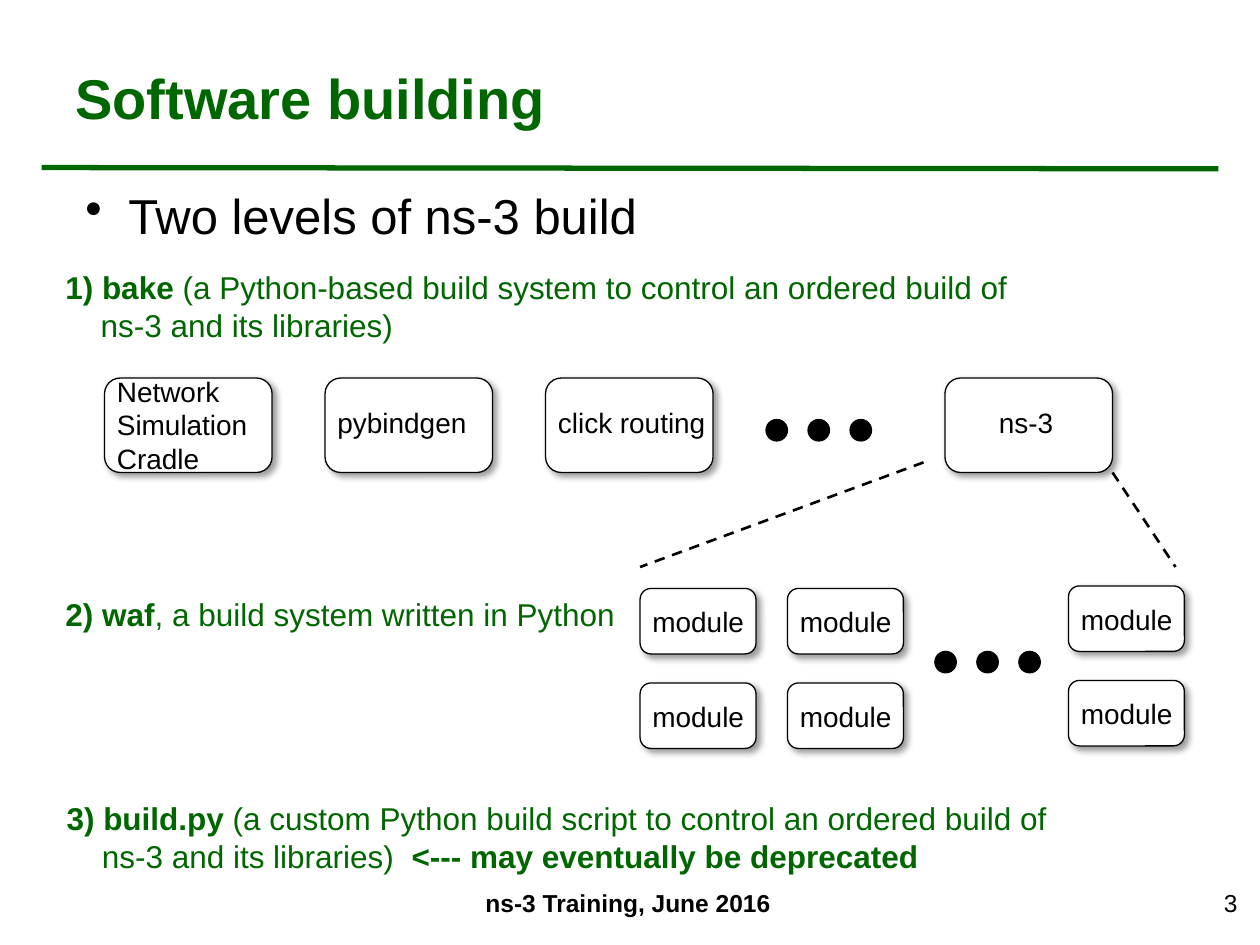
"""Build the slide on the two levels of the ns-3 build."""
from lxml.etree import SubElement
from pptx import Presentation
from pptx.dml.color import RGBColor
from pptx.enum.dml import MSO_LINE
from pptx.enum.shapes import MSO_CONNECTOR, MSO_SHAPE
from pptx.enum.text import MSO_ANCHOR, PP_ALIGN
from pptx.oxml.ns import qn
from pptx.util import Inches, Pt

GREEN, BLACK, WHITE = "006600", "000000", "FFFFFF"


def color(value):
    return RGBColor.from_string(value)


def apply(target, values):
    for name, value in values.items():
        setattr(target, name, value)


class SlideBuilder:
    font = "Arial"

    def __init__(self, slide):
        self.slide = slide

    def line(self, start, end, width, line_color=BLACK, dash=None):
        points = [Inches(value) for value in (*start, *end)]
        connector = self.slide.shapes.add_connector(MSO_CONNECTOR.STRAIGHT, *points)
        connector.line.color.rgb = color(line_color)
        apply(connector.line, {"width": Pt(width), "dash_style": dash})
        SubElement(connector._element.spPr, qn("a:effectLst"))

    def shape(self, kind, left, top, width, height, fill):
        box = [Inches(value) for value in (left, top, width, height)]
        shape = self.slide.shapes.add_shape(kind, *box)
        shape.fill.solid()
        shape.fill.fore_color.rgb = color(fill)
        shape.line.color.rgb = color(BLACK)
        shape.line.width = Pt(0.75)
        shape.shadow.inherit = False
        return shape

    def card(self, left, top, width, height):
        shape = self.shape(MSO_SHAPE.FLOWCHART_ALTERNATE_PROCESS,
                           left, top, width, height, WHITE)
        effects = shape._element.spPr.find(qn("a:effectLst"))
        shadow = SubElement(effects, qn("a:outerShdw"), blurRad=str(Pt(4)),
                            dist=str(Pt(3)), dir="2700000", algn="tl", rotWithShape="0")
        shade = SubElement(shadow, qn("a:srgbClr"), val=BLACK)
        SubElement(shade, qn("a:alpha"), val="40000")

    def dots(self, left, top):
        for index in range(3):
            self.shape(MSO_SHAPE.OVAL, left + index / 3, top, 0.17, 0.17, BLACK)

    def text(self, left, top, width, height, lines, size, text_color=BLACK,
             align=PP_ALIGN.LEFT, anchor=MSO_ANCHOR.TOP, wrap=True):
        box = [Inches(value) for value in (left, top, width, height)]
        frame = self.slide.shapes.add_textbox(*box).text_frame
        apply(frame, {"word_wrap": wrap, "vertical_anchor": anchor})
        for index, runs in enumerate(lines):
            paragraph = frame.add_paragraph() if index else frame.paragraphs[0]
            paragraph.alignment = align
            for words, bold in runs:
                run = paragraph.add_run()
                run.text = words
                apply(run.font, {"name": self.font, "size": Pt(size), "bold": bold})
                run.font.color.rgb = color(text_color)
        return frame

    def label(self, left, top, width, height, lines, wrap=False):
        self.text(left, top, width, height, [[(words, False)] for words in lines],
                  16, wrap=wrap)

    def bullet(self, left, top, width, height, words):
        frame = self.text(left, top, width, height, [[(words, False)]], 28)
        paragraph = frame.paragraphs[0]
        paragraph.space_before = Pt(8)
        properties = paragraph._p.get_or_add_pPr()
        properties.set("marL", str(Inches(0.34)))
        properties.set("indent", str(Inches(-0.34)))
        SubElement(properties, qn("a:buChar"), char="•")

    def level(self, left, top, width, height, lines):
        frame = self.text(left, top, width, height, lines, 18, GREEN)
        for paragraph in frame.paragraphs[1:]:
            paragraph._p.get_or_add_pPr().set("marL", str(Inches(0.28)))


presentation = Presentation()
presentation.slide_width, presentation.slide_height = Inches(10), Inches(7.5)
slide = presentation.slides.add_slide(presentation.slide_layouts[6])
builder = SlideBuilder(slide)

builder.line((0.33, 1.33), (9.67, 1.34), 3, GREEN)
builder.text(0.5, 0.3, 8.97, 0.94, [[("Software building", True)]], 32, GREEN,
             anchor=MSO_ANCHOR.MIDDLE)
builder.bullet(0.58, 1.42, 8.97, 0.6, "Two levels of ns-3 build")

libraries = [
    (0.83, (0.83, 2.92, 1.42, 0.91), ["Network", "Simulation", "Cradle"], True),
    (2.58, (2.58, 3.17, 1.42, 0.37), ["pybindgen"], True),
    (4.33, (4.33, 3.17, 1.39, 0.37), ["click routing"], False),
    (7.5, (7.83, 3.17, 0.64, 0.37), ["ns-3"], False),
]
for card_left, label_box, lines, wrap in libraries:
    builder.card(card_left, 3, 1.33, 0.75)
    builder.label(*label_box, lines, wrap)
builder.dots(6.08, 3.33)

for left, first_top in ((5.08, 4.67), (6.25, 4.67), (8.48, 4.65)):
    for top in (first_top, first_top + 0.75):
        builder.card(left, top, 0.92, 0.52)
        builder.label(left, top + 0.08, 0.94, 0.37, ["module"])
builder.dots(7.42, 5.17)

for start, end in (((7.33, 3.67), (5.08, 4.5)), ((8.83, 3.75), (9.33, 4.5))):
    builder.line(start, end, 1.5, dash=MSO_LINE.DASH)

builder.level(0.42, 2.08, 8.11, 0.71, [
    [("1) bake", True),
     (" (a Python-based build system to control an ordered build of", False)],
    [("ns-3 and its libraries)", False)],
])
builder.level(0.42, 4.67, 4.65, 0.4, [
    [("2) waf", True), (", a build system written in Python", False)],
])
builder.level(0.43, 6.29, 8.13, 0.71, [
    [("3) build.py", True),
     (" (a custom Python build script to control an ordered build of", False)],
    [("ns-3 and its libraries)  ", False), ("<--- may eventually be deprecated", True)],
])
builder.text(3.42, 7, 3.13, 0.5, [[("ns-3 Training, June 2016", True)]], 14,
             align=PP_ALIGN.CENTER)
builder.text(7.62, 7, 2.3, 0.5, [[("3", False)]], 14, align=PP_ALIGN.RIGHT)

presentation.save("out.pptx")
